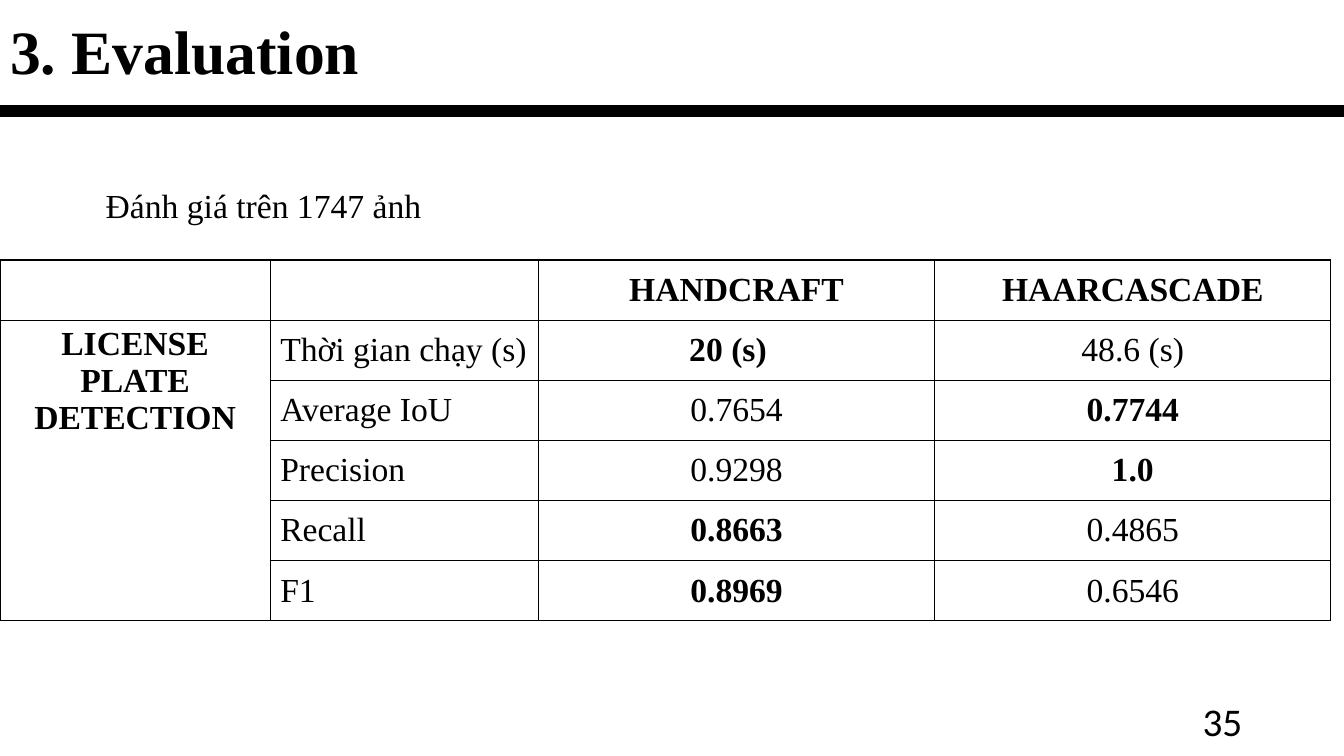
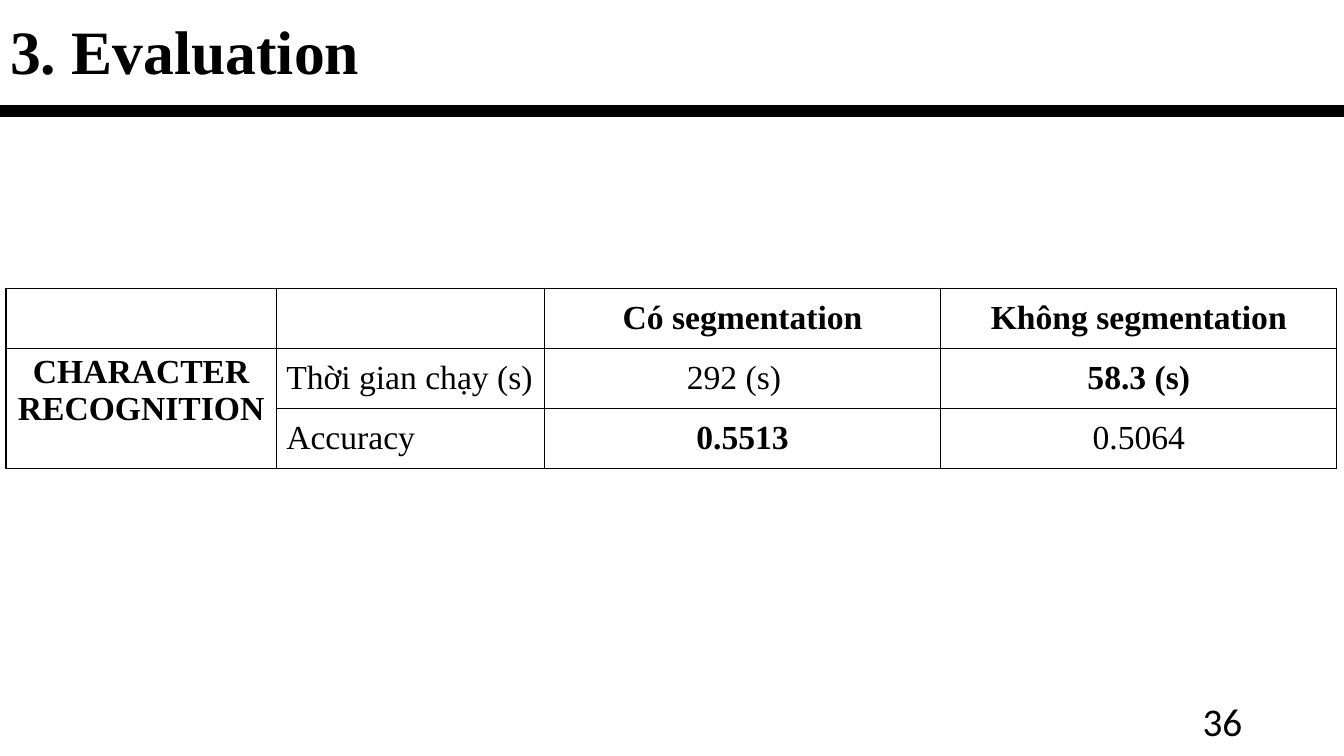
from lxml import etree
from pptx import Presentation
from pptx import util as u
from pptx.dml.color import RGBColor
from pptx.enum import shapes, text
from pptx.oxml import ns

SCALE = 9144
SLIDE_WIDTH, SLIDE_HEIGHT = 1333, 750
COLORS = {"ink": "000000"}
SERIF, SANS = "Times New Roman", "Calibri"
COLUMN_WIDTHS = (268, 266, 393, 393)
TIME_CELL = (1, 2)
TIME_CELL_MARGIN = 27
LEFT, CENTER, RIGHT = text.PP_ALIGN.LEFT, text.PP_ALIGN.CENTER, text.PP_ALIGN.RIGHT
TOP, MIDDLE = text.MSO_ANCHOR.TOP, text.MSO_ANCHOR.MIDDLE


def px(*lengths):
    return [u.Emu(length * SCALE) for length in lengths]


def ink():
    return RGBColor.from_string(COLORS["ink"])


def write(frame, words, size, font=SERIF, bold=False, align=LEFT):
    frame.text = words
    for paragraph in frame.paragraphs:
        paragraph.alignment = align
        for run in paragraph.runs:
            run.font.size = u.Pt(size)
            run.font.name = font
            run.font.bold = bold
            run.font.color.rgb = ink()


def add_label(slide, box, words, size, font=SERIF, align=LEFT, anchor=TOP, wrap=False):
    frame = slide.shapes.add_textbox(*px(*box)).text_frame
    frame.word_wrap = wrap
    frame.vertical_anchor = anchor
    write(frame, words, size, font, align=align)


def add_frame(presentation, title, number):
    slide = presentation.slides.add_slide(presentation.slide_layouts[5])
    heading = slide.shapes.title
    heading.left, heading.top, heading.width, heading.height = px(0, 8, 370, 84)
    frame = heading.text_frame
    frame.word_wrap = False
    frame.auto_size = text.MSO_AUTO_SIZE.NONE
    frame.vertical_anchor = TOP
    write(frame, title, 44, bold=True)

    rule = slide.shapes.add_connector(
        shapes.MSO_CONNECTOR.STRAIGHT, *px(0, 110, SLIDE_WIDTH, 110))
    rule.line.color.rgb = ink()
    rule.line.width = u.Pt(9)
    etree.SubElement(rule.element.spPr, ns.qn("a:effectLst"))

    add_label(slide, (942, 695, 300, 40), str(number), 28, SANS, RIGHT, MIDDLE, True)
    return slide


def outline(cell):
    properties = cell._tc.get_or_add_tcPr()
    for side in ("lnL", "lnR", "lnT", "lnB"):
        border = etree.SubElement(properties, ns.qn(f"a:{side}"), w=str(u.Pt(1)))
        fill = etree.SubElement(border, ns.qn("a:solidFill"))
        etree.SubElement(fill, ns.qn("a:srgbClr"), val=COLORS["ink"])
    cell.fill.background()


def add_results(slide, box, task, methods, measures):
    rows = [("", "", *methods)]
    rows += [("", name, *values) for name, values, _ in measures]
    rows[1] = (task, *rows[1][1:])
    best_columns = [None] + [best + 2 for _, _, best in measures]

    table = slide.shapes.add_table(len(rows), len(COLUMN_WIDTHS), *px(*box)).table
    table.first_row = table.horz_banding = False
    for column, width in zip(table.columns, px(*COLUMN_WIDTHS)):
        column.width = width
    for r, row in enumerate(rows):
        for c, words in enumerate(row):
            cell = table.cell(r, c)
            outline(cell)
            cell.vertical_anchor = TOP if c == 0 else MIDDLE
            if words:
                bold = r == 0 or c in (0, best_columns[r])
                write(cell.text_frame, words, 24, bold=bold,
                      align=LEFT if c == 1 else CENTER)
    table.cell(*TIME_CELL).margin_right = px(TIME_CELL_MARGIN)[0]
    table.cell(1, 0).merge(table.cell(len(rows) - 1, 0))


def main():
    presentation = Presentation()
    presentation.slide_width, presentation.slide_height = px(SLIDE_WIDTH, SLIDE_HEIGHT)

    detection = add_frame(presentation, "3. Evaluation", 35)
    add_label(detection, (95, 179, 339, 50), "Đánh giá trên 1747 ảnh", 24)
    add_results(
        detection, (0, 258, 1320, 358), "LICENSE PLATE DETECTION",
        ("HANDCRAFT", "HAARCASCADE"),
        [("Thời gian chạy (s)", ("20 (s)", "48.6 (s)"), 0),
         ("Average IoU", ("0.7654", "0.7744"), 1),
         ("Precision", ("0.9298", "1.0"), 1),
         ("Recall", ("0.8663", "0.4865"), 0),
         ("F1", ("0.8969", "0.6546"), 0)])

    recognition = add_frame(presentation, "3. Evaluation", 36)
    add_results(
        recognition, (6, 286, 1320, 179), "CHARACTER\nRECOGNITION",
        ("Có segmentation", "Không segmentation"),
        [("Thời gian chạy (s)", ("292 (s)", "58.3 (s)"), 1),
         ("Accuracy", ("0.5513", "0.5064"), 0)])

    presentation.save("out.pptx")


if __name__ == "__main__":
    main()
